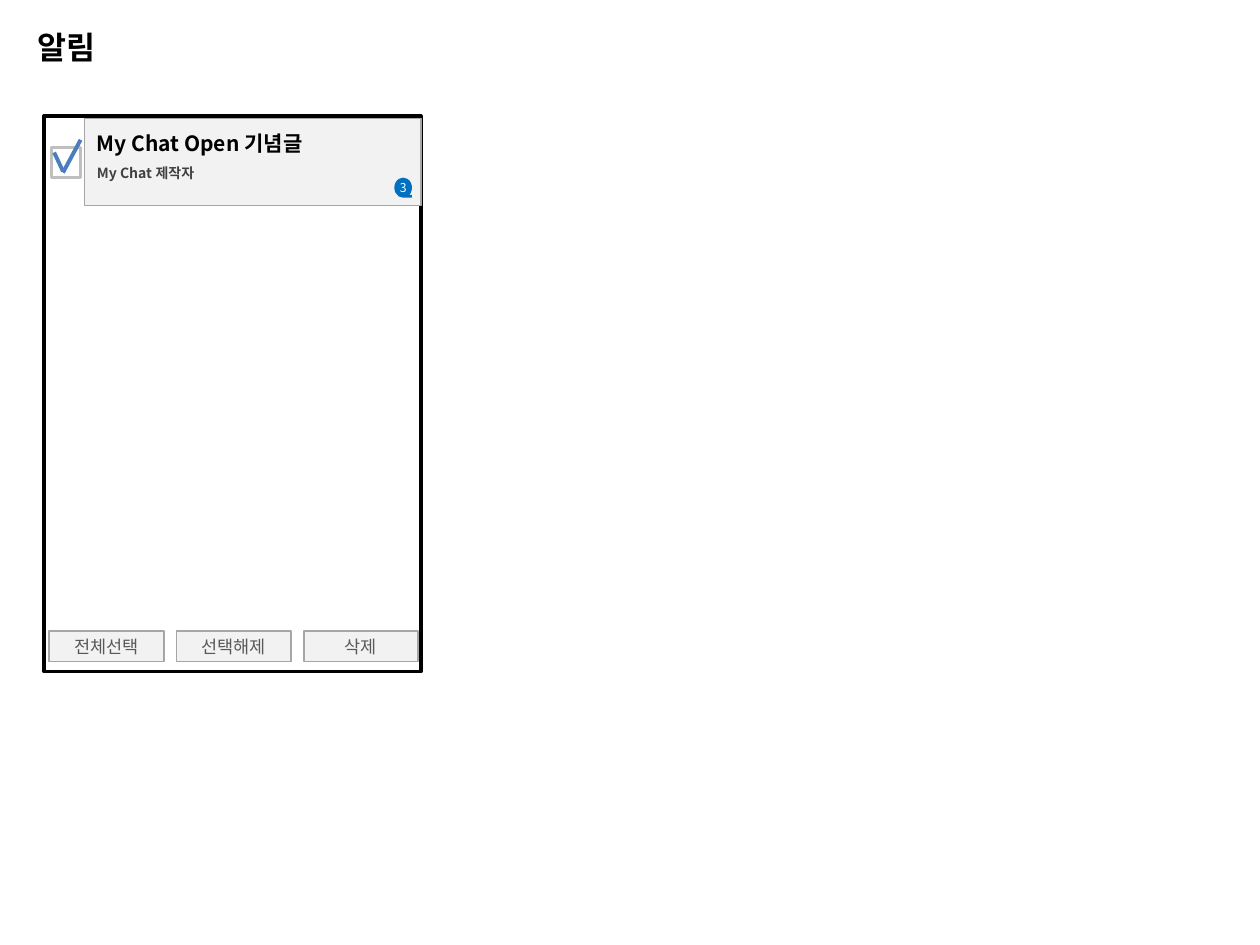
from pptx import Presentation
from pptx.dml.color import RGBColor
from pptx.enum.shapes import MSO_CONNECTOR, MSO_SHAPE
from pptx.enum.text import MSO_ANCHOR, MSO_AUTO_SIZE, PP_ALIGN
from pptx.oxml.ns import qn
from pptx.util import Inches, Pt
from lxml.etree import SubElement

THEME = {
    "font": "Noto Sans CJK KR",
    "black": "000000", "dark": "404040", "label": "595959", "white": "FFFFFF",
    "panel": "F2F2F2", "edge": "A6A6A6", "box": "BFBFBF",
    "badge": "0070C0", "check": "4B7EBC",
    "title": 18, "heading": 12, "button": 10, "author": 8, "count": 7,
}

# Text, (left, top, width, height), size, colour, wraps
LABELS = [
    ("알림", (0.2, 0.17, 0.71, 0.4), "title", "black", False),
    ("My Chat Open 기념글", (0.67, 0.99, 2.21, 0.3), "heading", "black", True),
    ("My Chat 제작자", (0.67, 1.26, 1.02, 0.24), "author", "dark", True),
]
PHONE = (0.35, 0.92, 2.99, 4.41)
CARD = (0.67, 0.94, 2.67, 0.69)
BADGE = ("3", (3.13, 1.41, 0.14, 0.16))
CHECKBOX = (0.41, 1.17, 0.23, 0.24)
CHECK_STROKES = [((0.43, 1.21), (0.5, 1.36)), ((0.64, 1.11), (0.5, 1.37))]
BUTTONS = ["전체선택", "선택해제", "삭제"]
BUTTON = (0.39, 5.01, 0.91, 0.24)
BUTTON_GAP = 0.1


def color(name):
    """Return a theme colour."""
    return RGBColor.from_string(THEME[name])


def add_run(tf, text, size, ink, bold=False):
    """Add one styled run to the first paragraph of a text frame."""
    r = tf.paragraphs[0].add_run()
    r.text = text
    r.font.name = THEME["font"]
    r.font.size = Pt(THEME[size])
    r.font.bold = bold
    r.font.color.rgb = color(ink)
    SubElement(r.font._element, qn("a:ea"), typeface=THEME["font"])


def add_label(s, text, at, size, ink, wrap):
    """Add a bold text box."""
    tf = s.shapes.add_textbox(*map(Inches, at)).text_frame
    tf.word_wrap = wrap
    tf.auto_size = MSO_AUTO_SIZE.SHAPE_TO_FIT_TEXT
    add_run(tf, text, size, ink, True)


def add_box(shapes, kind, at, fill=None, line=None, width=1):
    """Add a flat preset shape with an optional fill and outline."""
    sp = shapes.add_shape(kind, *map(Inches, at))
    sp.shadow.inherit = False
    if fill:
        sp.fill.solid()
        sp.fill.fore_color.rgb = color(fill)
    else:
        sp.fill.background()
    if line:
        sp.line.color.rgb = color(line)
        sp.line.width = Pt(width)
    else:
        sp.line.fill.background()
    return sp


def add_caption(sp, text, size, ink):
    """Centre a caption inside a shape."""
    tf = sp.text_frame
    tf.word_wrap = False
    tf.margin_left = tf.margin_right = tf.margin_top = tf.margin_bottom = 0
    tf.vertical_anchor = MSO_ANCHOR.MIDDLE
    tf.paragraphs[0].alignment = PP_ALIGN.CENTER
    add_run(tf, text, size, ink)


def add_checkbox(s):
    """Add the ticked box as one group."""
    group = s.shapes.add_group_shape()
    add_box(group.shapes, MSO_SHAPE.RECTANGLE, CHECKBOX, line="box", width=2)
    for start, end in CHECK_STROKES:
        stroke = group.shapes.add_connector(
            MSO_CONNECTOR.STRAIGHT, *map(Inches, start + end))
        stroke.line.color.rgb = color("check")
        stroke.line.width = Pt(2.25)
        SubElement(stroke._element.spPr, qn("a:effectLst"))


def add_buttons(s):
    """Add the row of buttons at an equal pitch."""
    left, top, width, height = BUTTON
    for i, text in enumerate(BUTTONS):
        at = (left + i * (width + BUTTON_GAP), top, width, height)
        sp = add_box(s.shapes, MSO_SHAPE.FLOWCHART_PROCESS, at, "panel", "edge")
        add_caption(sp, text, "button", "label")


def main():
    """Build and save the slide."""
    prs = Presentation()
    prs.slide_width, prs.slide_height = Inches(10), Inches(7.5)
    s = prs.slides.add_slide(prs.slide_layouts[6])
    add_box(s.shapes, MSO_SHAPE.RECTANGLE, PHONE, line="black", width=2)
    add_box(s.shapes, MSO_SHAPE.RECTANGLE, CARD, "panel", "edge")
    for label in LABELS:
        add_label(s, *label)
    count, at = BADGE
    badge = add_box(s.shapes, MSO_SHAPE.FLOWCHART_SEQUENTIAL_ACCESS_STORAGE, at, "badge")
    add_caption(badge, count, "count", "white")
    add_checkbox(s)
    add_buttons(s)
    prs.save("out.pptx")


main()
